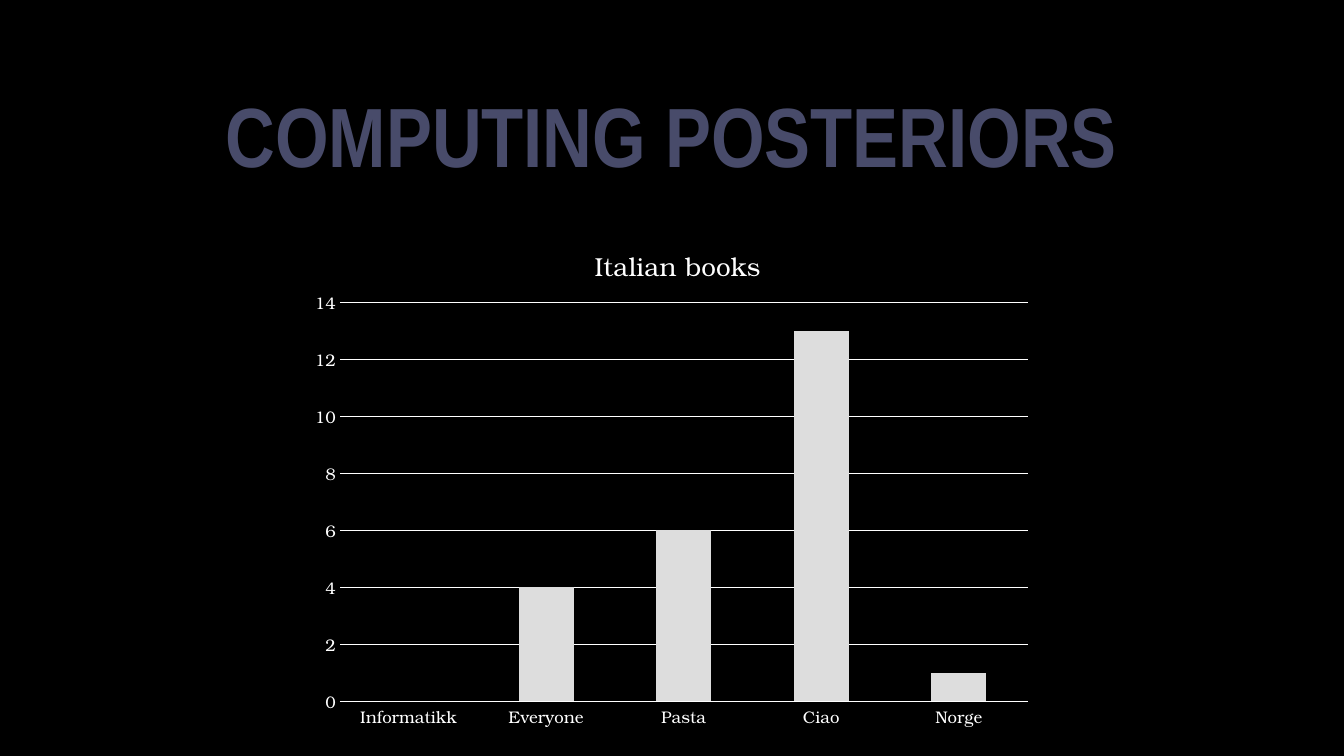
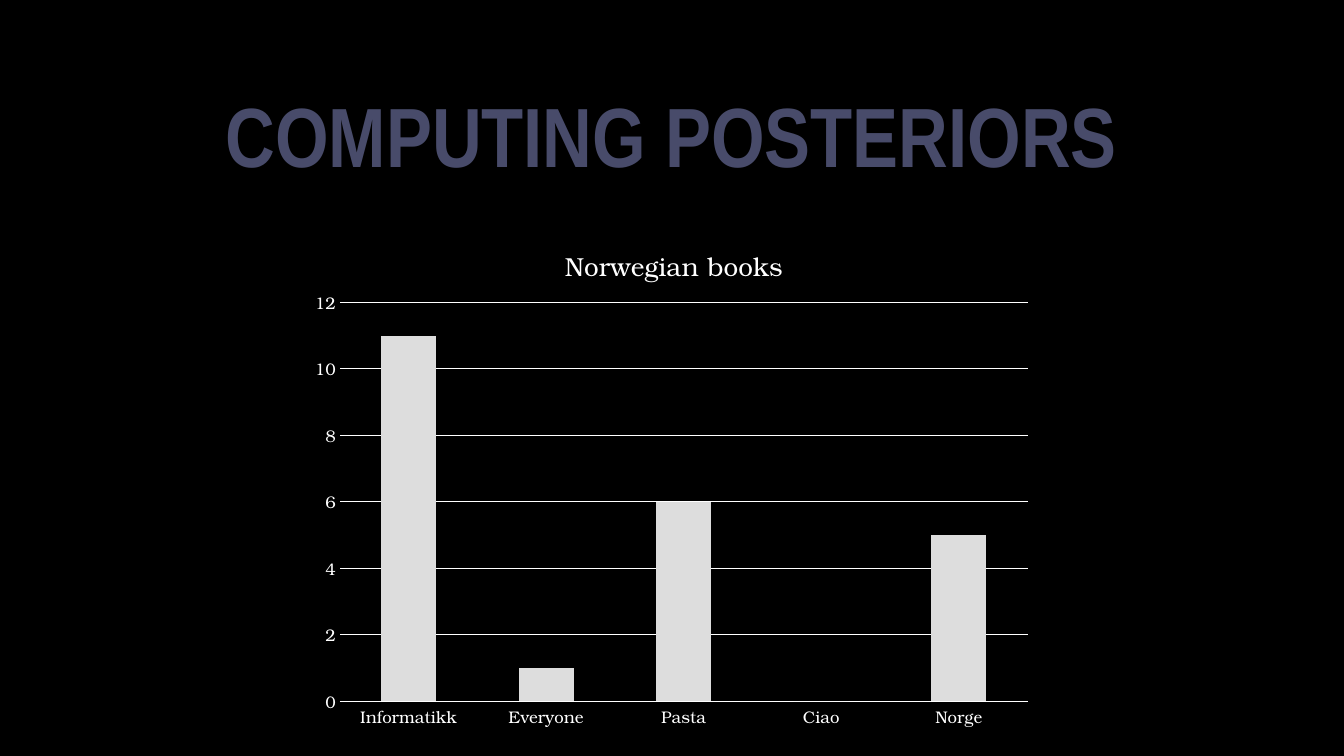
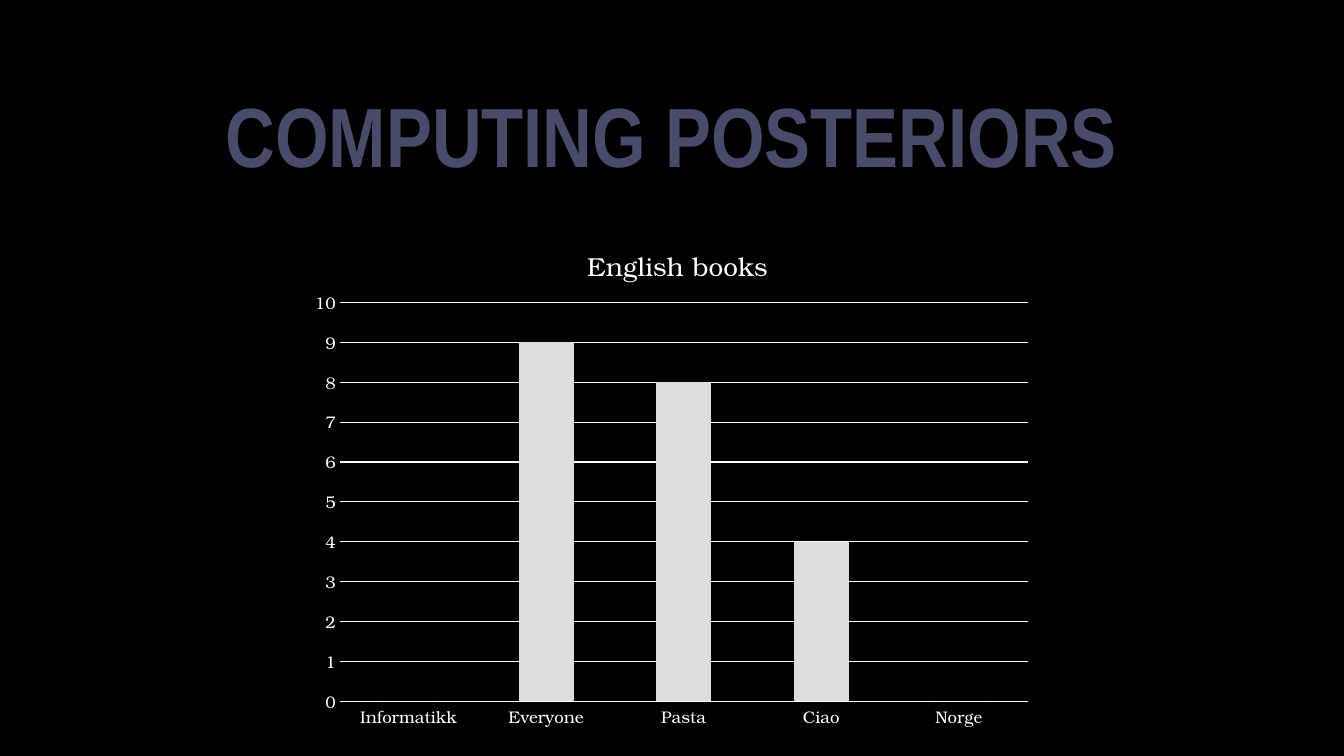
import dataclasses

import pptx
import pptx.chart.chart
import pptx.chart.data
import pptx.dml.color
import pptx.dml.line
import pptx.enum.chart
import pptx.enum.text
import pptx.oxml
import pptx.oxml.ns
import pptx.presentation
import pptx.slide
import pptx.text.text
import pptx.util
from pptx.util import Inches

BACKGROUND = "000000"
HEADING = "484B6A"
FOREGROUND = "FFFFFF"
BAR = "DDDDDD"
HEADING_FONT = "Arial Narrow"
CHART_FONT = "TeX Gyre Bonum"
CATEGORIES = ("Informatikk", "Everyone", "Pasta", "Ciao", "Norge")
TITLE_ONLY = 5


@dataclasses.dataclass(frozen=True)
class BookChart:
    title: str
    title_left: float  # fraction of the chart width
    counts: tuple[int, ...]
    maximum: int
    step: int


BOOK_CHARTS = (
    BookChart("Italian books", 0.39, (0, 4, 6, 13, 1), 14, 2),
    BookChart("Norwegian books", 0.35, (11, 1, 6, 0, 5), 12, 2),
    BookChart("English books", 0.38, (0, 9, 8, 4, 0), 10, 1),
)


def color(value: str) -> pptx.dml.color.RGBColor:
    return pptx.dml.color.RGBColor.from_string(value)


def format_font(font: pptx.text.text.Font, *, name: str = CHART_FONT, size: float = 12,
                fill: str = FOREGROUND, bold: bool = False) -> None:
    font.name = name
    font.size = pptx.util.Pt(size)
    font.bold = bold
    font.color.rgb = color(fill)


def write_text(frame: pptx.text.text.TextFrame, text: str, *, spacing: float = 1.0,
               **font_format: str | float | bool) -> None:
    para = frame.paragraphs[0]
    para.alignment = pptx.enum.text.PP_ALIGN.CENTER
    para.line_spacing = spacing
    span = para.add_run()
    span.text = text
    format_font(span.font, **font_format)


def format_line(line: pptx.dml.line.LineFormat) -> None:
    line.color.rgb = color(FOREGROUND)
    line.width = pptx.util.Pt(0.75)


def manual_layout(**fractions: float) -> pptx.oxml.xmlchemy.BaseOxmlElement:
    """Build a c:layout whose values are fractions of the chart's size."""
    modes = "".join(f'<c:{axis}Mode val="edge"/>' for axis in "xy")
    values = "".join(f'<c:{key} val="{value}"/>' for key, value in fractions.items())
    target = '<c:layoutTarget val="inner"/>' if "w" in fractions else ""
    return pptx.oxml.parse_xml(
        f'<c:layout {pptx.oxml.ns.nsdecls("c")}><c:manualLayout>'
        f"{target}{modes}{values}</c:manualLayout></c:layout>"
    )


def add_heading(slide: pptx.slide.Slide, text: str) -> None:
    box = slide.shapes.title
    box.left, box.top = Inches(1), Inches(0.67)
    box.width, box.height = Inches(11.32), Inches(1.45)
    frame = box.text_frame
    frame.word_wrap = True
    frame.auto_size = pptx.enum.text.MSO_AUTO_SIZE.NONE
    frame.vertical_anchor = pptx.enum.text.MSO_ANCHOR.MIDDLE
    write_text(frame, text, spacing=0.9, name=HEADING_FONT, size=60, fill=HEADING, bold=True)


def format_axes(chart: pptx.chart.chart.Chart, book_chart: BookChart) -> None:
    for axis in (chart.category_axis, chart.value_axis):
        axis.major_tick_mark = pptx.enum.chart.XL_TICK_MARK.NONE
        axis.minor_tick_mark = pptx.enum.chart.XL_TICK_MARK.NONE
        format_font(axis.tick_labels.font)
    format_line(chart.category_axis.format.line)
    values = chart.value_axis
    values.minimum_scale = 0
    values.maximum_scale = book_chart.maximum
    values.major_unit = book_chart.step
    values.format.line.fill.background()
    values.has_major_gridlines = True
    format_line(values.major_gridlines.format.line)


def add_book_chart(slide: pptx.slide.Slide, book_chart: BookChart) -> None:
    data = pptx.chart.data.CategoryChartData()
    data.categories = CATEGORIES
    data.add_series("Series 1", book_chart.counts)
    chart = slide.shapes.add_chart(
        pptx.enum.chart.XL_CHART_TYPE.COLUMN_STACKED,
        Inches(2.98), Inches(2.12), Inches(7.36), Inches(5.21), data,
    ).chart
    format_font(chart.font, size=10)
    chart.has_legend = False
    chart.has_title = True
    write_text(chart.chart_title.text_frame, book_chart.title, size=18.6)
    chart.chart_title.include_in_layout = False

    title = chart.chart_title._element
    plot_area = chart._chartSpace.chart.plotArea
    for old_layout in title.xpath("c:layout") + plot_area.xpath("c:layout"):
        old_layout.getparent().remove(old_layout)
    title.xpath("c:tx")[0].addnext(manual_layout(x=book_chart.title_left, y=0.05))
    plot_area.insert(0, manual_layout(x=0.053, y=0.169, w=0.927, h=0.76))

    format_axes(chart, book_chart)
    plot = chart.plots[0]
    plot.gap_width = 150
    plot.overlap = 100
    plot.vary_by_categories = False
    bars = plot.series[0].format
    bars.fill.solid()
    bars.fill.fore_color.rgb = color(BAR)


def new_deck() -> pptx.presentation.Presentation:
    deck = pptx.Presentation()
    deck.slide_width, deck.slide_height = Inches(13.33), Inches(7.5)
    fill = deck.slide_master.background.fill
    fill.solid()
    fill.fore_color.rgb = color(BACKGROUND)
    return deck


def main() -> None:
    deck = new_deck()
    for book_chart in BOOK_CHARTS:
        slide = deck.slides.add_slide(deck.slide_layouts[TITLE_ONLY])
        add_heading(slide, "COMPUTING POSTERIORS")
        add_book_chart(slide, book_chart)
    deck.save("out.pptx")


if __name__ == "__main__":
    main()
